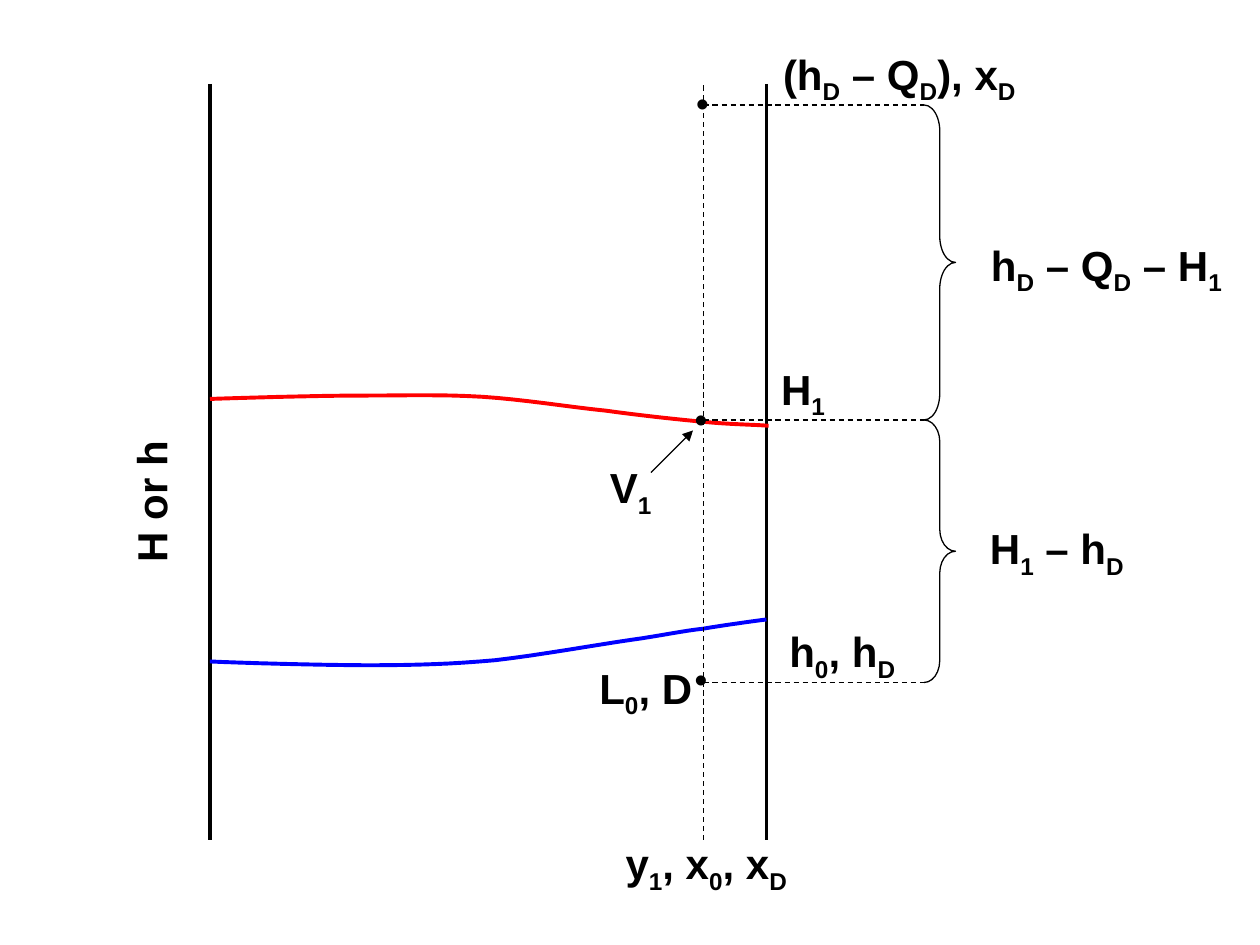
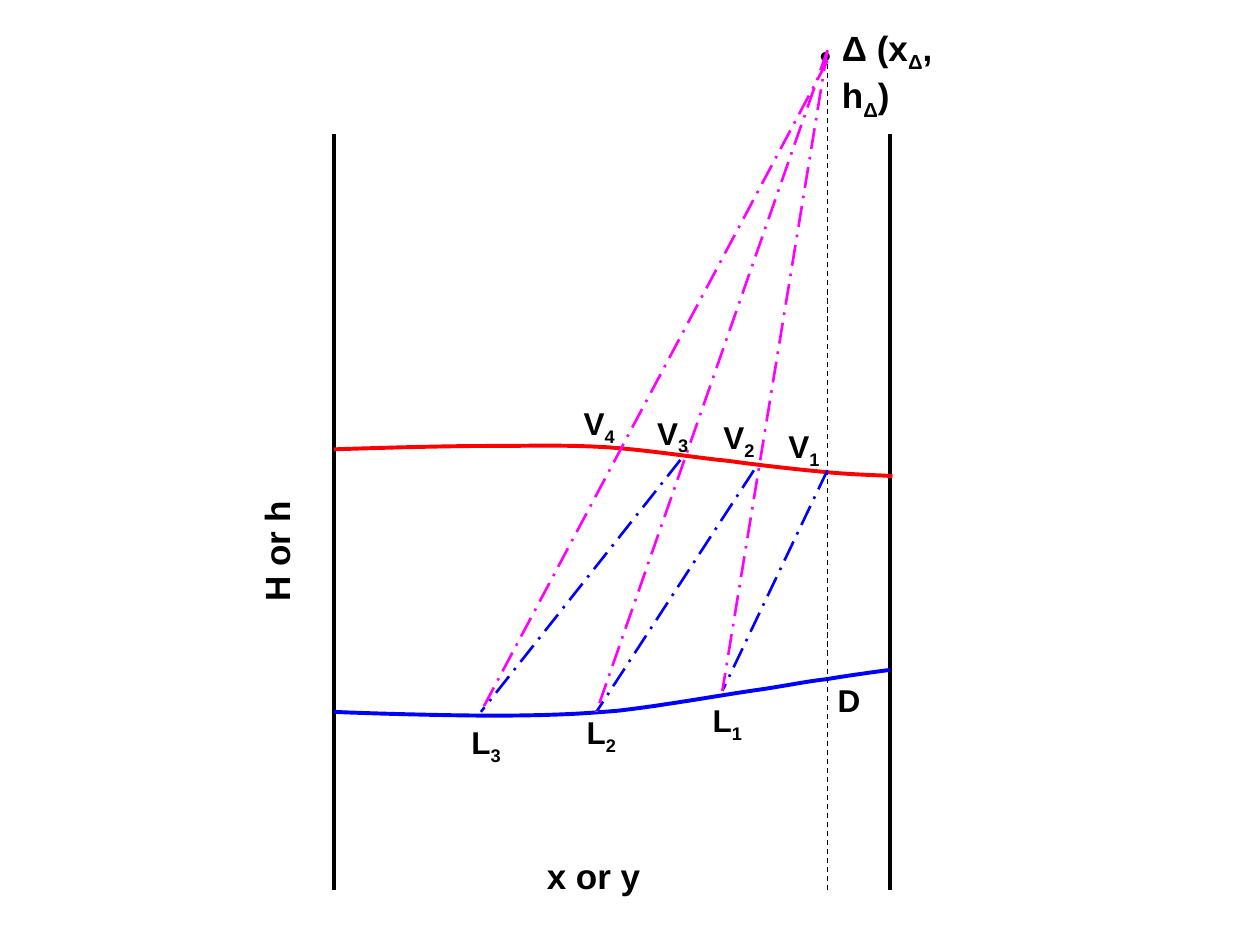
from lxml import etree
from pptx import Presentation
from pptx.dml.color import RGBColor
from pptx.enum.dml import MSO_LINE
from pptx.enum.shapes import MSO_CONNECTOR, MSO_SHAPE
from pptx.enum.text import MSO_AUTO_SIZE, PP_ALIGN
from pptx.oxml.ns import qn
from pptx.util import Inches, Pt

STRAIGHT = MSO_CONNECTOR.STRAIGHT
BRACE = MSO_SHAPE.RIGHT_BRACE
GROW = MSO_AUTO_SIZE.SHAPE_TO_FIT_TEXT
LEFT = PP_ALIGN.LEFT
CENTER = PP_ALIGN.CENTER
DASH = MSO_LINE.DASH
DASH_DOT = MSO_LINE.LONG_DASH_DOT

COLORS = {"ink": "000000", "vapor": "FF0000", "liquid": "0000FF", "ray": "FF00FF"}
FONT = "Arial"
COLUMNS = 120
FRAME_WIDTH, FRAME_HEIGHT = 53, 72
FEED_COLUMN = 47
STEPS = 8

CURVES = {
    "liquid": [
        (0, 55), (2.56, 55.12), (10.6, 55.36), (15.16, 55.36),
        (19.72, 55.36), (23.08, 55.24), (27.16, 54.88),
        (31.36, 54.4), (36.64, 53.44), (40, 52.96),
        (43.36, 52.48), (44.8, 52.12), (46.96, 51.88),
        (49.12, 51.52), (51.76, 51.16), (53, 51),
    ],
    "vapor": [
        (0, 30), (2.44, 29.92), (10.12, 29.68), (14.44, 29.68),
        (18.88, 29.68), (22.12, 29.56), (25.96, 29.8),
        (29.8, 30.04), (34.12, 30.76), (37.72, 31.12),
        (41.2, 31.6), (44.56, 31.96), (47.2, 32.2),
        (49.72, 32.44), (51.88, 32.44), (53.2, 32.56),
    ],
}

deck = Presentation()
deck.slide_width = Inches(10)
deck.slide_height = Inches(7.5)
cell = deck.slide_width // COLUMNS


def add_text(page, text, left, top, width, size=24, wrap=False, rotation=0, align=LEFT):
    line_height = 1.37 if "_" in text else 1.2
    height = Pt(size * line_height + 7.2)
    box = page.shapes.add_textbox(
        round(left * cell), round(top * cell), round(width * cell), height)
    box.rotation = rotation
    frame = box.text_frame
    frame.word_wrap = wrap
    frame.auto_size = GROW
    para = frame.paragraphs[0]
    para.alignment = align
    base, *marked = text.split("_")
    pieces = [(base, False)]
    for part in marked:
        pieces += [(part[0], True), (part[1:], False)]
    for piece, lowered in pieces:
        if piece:
            span = para.add_run()
            span.text = piece
            span.font.name = FONT
            span.font.size = Pt(size)
            span.font.bold = True
            span.font.color.rgb = RGBColor.from_string(COLORS["ink"])
            if lowered:
                span.font._element.set("baseline", "-25000")


def add_line(page, start, end, color="ink", width=0.75, dash=None, arrow=False):
    line = page.shapes.add_connector(
        STRAIGHT, *[round(value * cell) for value in (*start, *end)])
    line.line.color.rgb = RGBColor.from_string(COLORS[color])
    line.line.width = Pt(width)
    if dash:
        line.line.dash_style = dash
    properties = line._element.spPr
    if arrow:
        etree.SubElement(properties.find(qn("a:ln")), qn("a:tailEnd"), type="triangle")
    etree.SubElement(properties, qn("a:effectLst"))


pages = []
for frame_left, frame_top, feed_top in [(20, 8, 8), (31.8, 12.8, 4.8)]:
    page = deck.slides.add_slide(deck.slide_layouts[6])
    pages.append(page)
    bottom = frame_top + FRAME_HEIGHT
    for wall in (frame_left, frame_left + FRAME_WIDTH):
        add_line(page, (wall, frame_top), (wall, bottom), width=2.25)

    for color, knots in CURVES.items():
        points = [knots[0]]
        for first in range(0, len(knots) - 1, 3):
            controls = knots[first:first + 4]
            for step in range(1, STEPS + 1):
                t = step / STEPS
                weights = ((1 - t) ** 3, 3 * t * (1 - t) ** 2, 3 * t * t * (1 - t), t ** 3)
                points.append(tuple(
                    sum(weight * knot[axis] for weight, knot in zip(weights, controls))
                    for axis in (0, 1)))
        points = [((frame_left + x) * cell, (frame_top + y) * cell) for x, y in points]
        outline = page.shapes.build_freeform(*points[0])
        outline.add_line_segments(points[1:], close=False)
        curve = outline.convert_to_shape()
        curve.shadow.inherit = False
        curve.fill.background()
        curve.line.color.rgb = RGBColor.from_string(COLORS[color])
        curve.line.width = Pt(2.25)

    feed = frame_left + FEED_COLUMN
    add_line(page, (feed, bottom), (feed, feed_top), dash=DASH)

balance, stages = pages

LEVELS = [10, 40, 65]
for level in LEVELS:
    for start, end in [(67, 73), (73, 88)]:
        add_line(balance, (start, level), (end, level), dash=DASH)

for upper, lower in zip(LEVELS, LEVELS[1:]):
    height = lower - upper
    brace = balance.shapes.add_shape(BRACE, 88 * cell, upper * cell, 3 * cell, height * cell)
    brace.adjustments[0] = height / 12 / 3
    brace.shadow.inherit = False
    brace.fill.background()
    brace.line.color.rgb = RGBColor.from_string(COLORS["ink"])
    brace.line.width = Pt(0.75)

add_line(balance, (62, 45), (66, 41), arrow=True)

for text, left, top, width in [
    ("L_0, D", 55.9, 62.5, 11.2),
    ("h_0, h_D", 74, 59, 12.5),
    ("V_1", 56.9, 43.4, 7.4),
    ("H_1", 73.2, 34, 6.6),
    ("(h_D – Q_D), x_D", 73.4, 4, 24.5),
    ("h_D – Q_D – H_1", 93.2, 22.2, 24.4),
    ("H_1 – h_D", 93.1, 49.2, 16.2),
    ("y_1, x_0, x_D", 58.4, 79.2, 17.8),
]:
    add_text(balance, text, left, top, width)
add_text(balance, "H or h", 6.35, 44.8, 16, rotation=270, align=CENTER)
for left, top in [(65.15, 7.2), (65, 37.3), (65, 62)]:
    add_text(balance, "•", left, top, 4, size=20, wrap=True)

add_text(stages, "•", 76.9, 2.8, 3.6, size=18)
add_text(stages, "x or y", 50.9, 80.8, 11.3, size=20)
add_text(stages, "H or h", 19.3, 49.9, 14, size=20, rotation=270, align=CENTER)

for liquid, vapor, pole in [
    ((68.8, 65.8), (78.8, 44.8), (78.8, 4.8)),
    ((56.8, 67.8), (71.8, 44.8), (78.8, 4.8)),
    ((45.8, 67.8), (64.8, 43.8), (78.8, 5.8)),
]:
    add_line(stages, vapor, liquid, color="liquid", width=1.5, dash=DASH_DOT)
    add_line(stages, pole, liquid, color="ray", width=1.5, dash=DASH_DOT)

for text, left, top, width in [
    ("V_1", 73.9, 40.1, 5.4),
    ("V_2", 67.7, 39.2, 5.4),
    ("V_3", 61.4, 38.8, 5.4),
    ("V_4", 54.4, 37.9, 5.4),
    ("D", 78.6, 64.3, 4.6),
    ("L_1", 66.7, 66.2, 5.2),
    ("L_2", 54.7, 67.3, 5.2),
    ("L_3", 43.7, 68.3, 5.2),
]:
    add_text(stages, text, left, top, width, size=18)
add_text(stages, "Δ (x_Δ, h_Δ)", 79, 1.9, 15.7, size=20, wrap=True)

deck.save("out.pptx")
